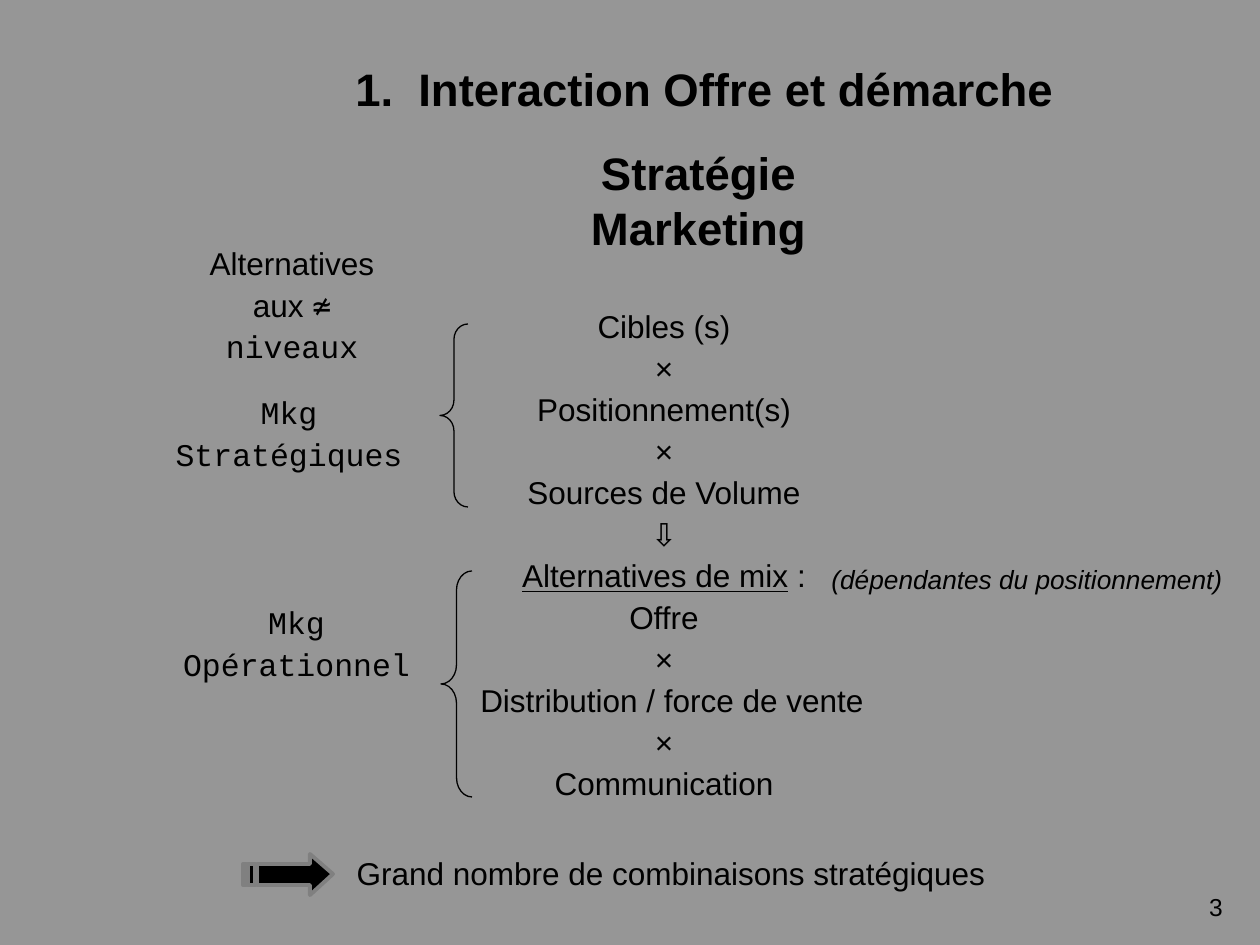
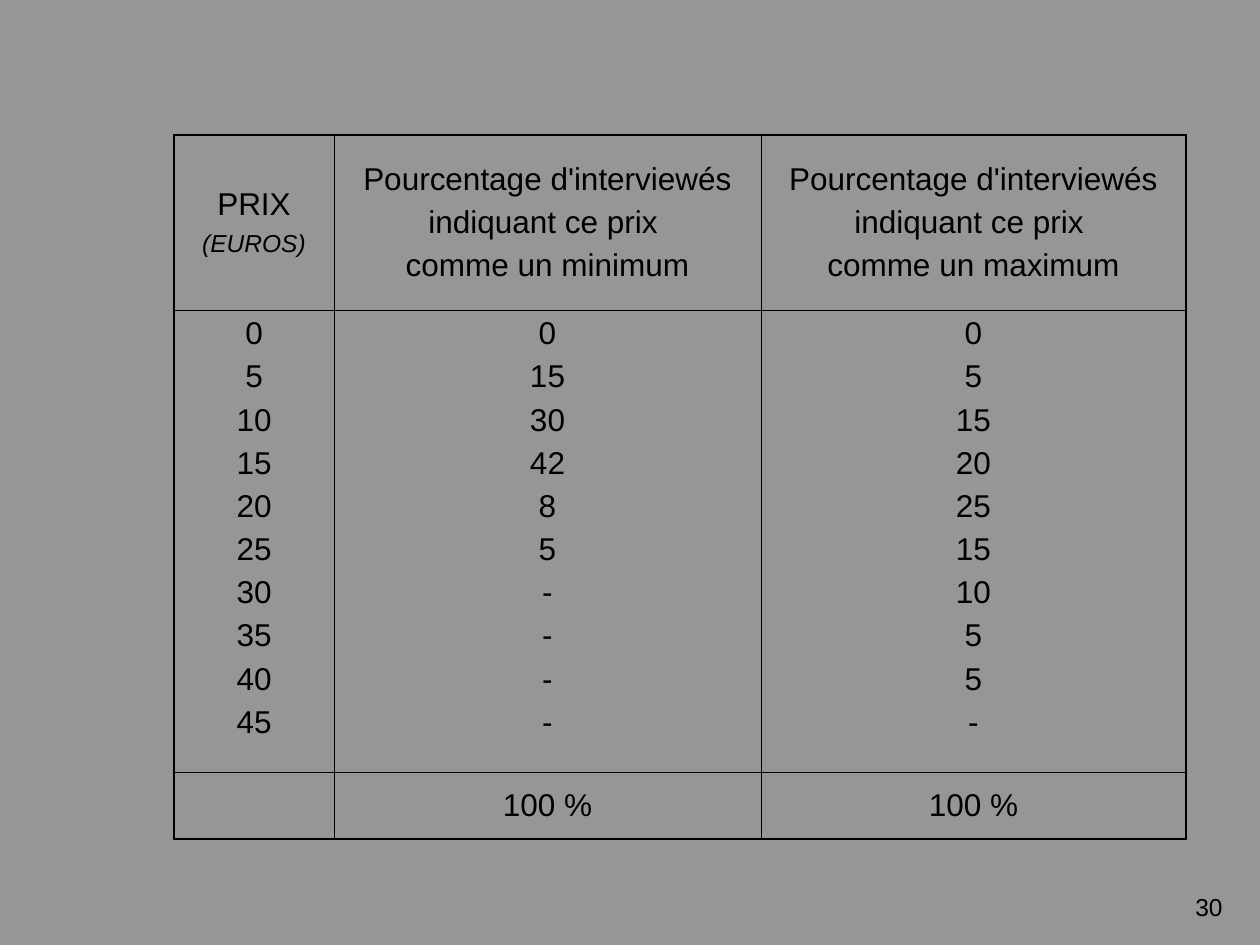
from pptx import Presentation
from pptx.dml.color import RGBColor as Rgb
from pptx.enum.shapes import MSO_SHAPE as Kind
from pptx.enum.text import MSO_ANCHOR as Anchor, PP_ALIGN as Align
from pptx.oxml import parse_xml
from pptx.oxml.ns import nsdecls
from pptx.util import Pt

SCALE = 914400 / 126
COLOURS = {"back": "969696", "ink": "000000", "edge": "808080"}
BASE = {"name": "Arial", "size": Pt(18)}
TITLE = {"size": Pt(26), "bold": True}
SMALL = {"size": Pt(14)}
NOTE = {"size": Pt(15), "italic": True}
MONO = {"name": "Courier New"}
MIDDLE = {"alignment": Align.CENTER}
BODY = {**MIDDLE, "line_spacing": 1.1}
ROW = {**MIDDLE, "space_before": Pt(4.5)}
THICK, THIN = Pt(1.08), Pt(0.45)

CHAIN = [
    "Cibles (s)", "×", "Positionnement(s)", "×", "Sources de Volume", "⇩",
    [("Alternatives de mix", {"underline": True}), (" :", {})],
    "Offre", "×", "Distribution / force de vente", "×", "Communication",
]
HEADS = [[[("PRIX", {})], [("(EUROS)", {**SMALL, "italic": True})]]] + [
    ["Pourcentage d'interviewés", "indiquant ce prix ", f"comme un {end}"]
    for end in ("minimum", "maximum")
]
PRICES = [str(price) for price in range(0, 50, 5)]
LOWS = "0 15 30 42 8 5 - - - -".split()
HIGHS = "0 5 15 20 25 15 10 5 5 -".split()
TOTALS = [[], ["100 %"], ["100 %"]]


def px(value):
    """Turn px into EMU."""
    return round(value * SCALE)


def hue(name):
    """Look up a colour by name."""
    return Rgb.from_string(COLOURS[name])


def apply(target, values):
    """Set every format value on the target."""
    for key, value in values.items():
        setattr(target, key, value)


def write(frame, lines, look, para):
    """Write lines, each a string or a list of (text, look) runs."""
    for index, line in enumerate(lines):
        item = frame.add_paragraph() if index else frame.paragraphs[0]
        apply(item, para)
        for text, extra in [(line, {})] if isinstance(line, str) else line:
            run = item.add_run()
            run.text = text
            apply(run.font, {**BASE, **look, **extra})
            run.font.color.rgb = hue("ink")


def label(slide, box, lines, look, para, wrap=False):
    """Add a text box and return its frame."""
    frame = slide.shapes.add_textbox(*map(px, box)).text_frame
    frame.word_wrap = wrap
    write(frame, lines, look, para)
    return frame


def indent(item, left):
    """Indent a paragraph from the left."""
    item._p.get_or_add_pPr().set("marL", str(px(left)))


def tab(item, stop):
    """Give a paragraph one left tab stop."""
    item._p.get_or_add_pPr().append(parse_xml(
        f'<a:tabLst {nsdecls("a")}><a:tab pos="{px(stop)}" algn="l"/></a:tabLst>'))


def brace(slide, box, curve):
    """Add an open left brace."""
    shape = slide.shapes.add_shape(Kind.LEFT_BRACE, *map(px, box))
    shape.adjustments[0] = curve
    shape.shadow.inherit = False
    shape.fill.background()
    shape.line.color.rgb = hue("ink")
    shape.line.width = Pt(0.75)


def arrow(slide):
    """Add the right arrow with two stripes at its tail."""
    top, low = 864, 885
    stripes = [[(x, top), (end, top), (end, low), (x, low)]
               for x, end in ((243, 246), (248, 255))]
    head = [(257, top), (310, top), (310, 854), (333, 874),
            (310, 895), (310, low), (257, low)]
    pen = slide.shapes.build_freeform(*head[0], scale=SCALE)
    pen.add_line_segments(head[1:])
    for stripe in stripes:
        pen.move_to(*stripe[0])
        pen.add_line_segments(stripe[1:])
    shape = pen.convert_to_shape()
    shape.shadow.inherit = False
    shape.fill.solid()
    shape.fill.fore_color.rgb = hue("ink")
    shape.line.color.rgb = hue("edge")
    shape.line.width = Pt(2.25)


def border(cell, sides):
    """Draw the cell's sides, thick where the flag is set."""
    props = cell._tc.get_or_add_tcPr()
    for index, (side, outer) in enumerate(sides.items()):
        props.insert(index, parse_xml(
            f'<a:ln{side} {nsdecls("a")} w="{THICK if outer else THIN}">'
            f'<a:solidFill><a:srgbClr val="{COLOURS["ink"]}"/></a:solidFill>'
            f'</a:ln{side}>'))


def grid(slide, left, top, widths, heights, rows):
    """Add a table ruled in thick outside and thin inside."""
    size = sum(widths), sum(heights)
    table = slide.shapes.add_table(
        len(heights), len(widths), *map(px, (left, top, *size))).table
    apply(table, {"first_row": False, "horz_banding": False})
    for column, width in zip(table.columns, widths):
        column.width = px(width)
    for y, (height, row) in enumerate(zip(heights, rows)):
        table.rows[y].height = px(height)
        for x, lines in enumerate(row):
            cell = table.cell(y, x)
            cell.fill.background()
            cell.vertical_anchor = Anchor.TOP if y == 1 else Anchor.MIDDLE
            write(cell.text_frame, lines, {}, ROW)
            border(cell, {"L": x == 0, "R": x == len(widths) - 1,
                          "T": y == 0, "B": y == len(heights) - 1})


def page(deck, number):
    """Add a blank slide with its number."""
    slide = deck.slides.add_slide(deck.slide_layouts[6])
    label(slide, (941, 886, 294, 66), [number], SMALL,
          {"alignment": Align.RIGHT}, True)
    return slide


def offer(deck):
    """Build the slide on offer and strategy."""
    slide = page(deck, "3")
    head = label(slide, (343, 55, 740, 68),
                 ["1.\tInteraction Offre et démarche"], TITLE, {}, True)
    tab(head.paragraphs[0], 63)
    label(slide, (475, 139, 447, 68), ["Stratégie Marketing"], TITLE, MIDDLE)
    chain = label(slide, (434, 297, 460, 512), CHAIN, {}, BODY, True)
    indent(chain.paragraphs[9], 16)
    label(slide, (819, 554, 416, 48),
          ["(dépendantes du positionnement)"], NOTE, BODY)
    label(slide, (344, 844, 654, 54),
          ["Grand nombre de combinaisons stratégiques"], {}, BODY)
    levels = ["Alternatives", [("aux ", {}), ("≄ niveaux", MONO)]]
    label(slide, (175, 234, 234, 96), levels, {}, BODY, True)
    label(slide, (146, 383, 286, 54), ["Mkg Stratégiques"], MONO, BODY, True)
    label(slide, (150, 593, 293, 54), ["Mkg Opérationnel"], MONO, BODY, True)
    brace(slide, (440, 324, 28, 183), 0.55)
    brace(slide, (441, 571, 31, 226), 0.62)
    arrow(slide)


def prices(deck):
    """Build the slide with the price survey."""
    slide = page(deck, "30")
    grid(slide, 174, 135, (160, 427, 425), (175, 462, 67),
         (HEADS, (PRICES, LOWS, HIGHS), TOTALS))


def main():
    """Build and save the deck."""
    deck = Presentation()
    apply(deck, {"slide_width": px(1260), "slide_height": px(945)})
    fill = deck.slide_master.background.fill
    fill.solid()
    fill.fore_color.rgb = hue("back")
    offer(deck)
    prices(deck)
    deck.save("out.pptx")


if __name__ == "__main__":
    main()
